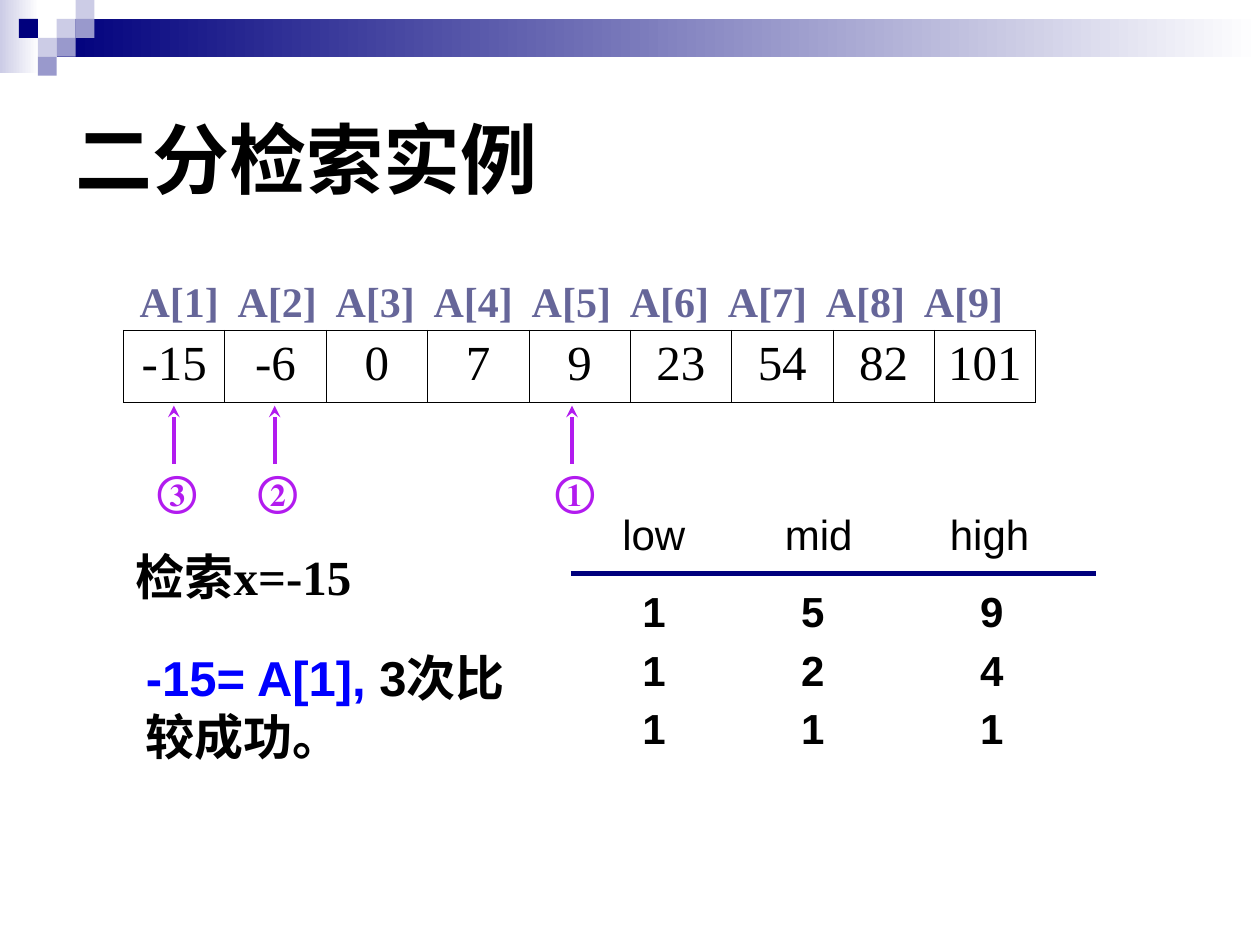
from dataclasses import dataclass
from lxml.etree import SubElement as Sub
from pptx import Presentation as Deck
from pptx.dml.color import RGBColor as Rgb
from pptx.enum.shapes import MSO_CONNECTOR as Conn, MSO_SHAPE as Kind
from pptx.enum.text import MSO_ANCHOR as Anchor, PP_ALIGN as Align
from pptx.oxml import parse_xml
from pptx.oxml.ns import nsdecls, qn
from pptx.util import Inches, Pt


@dataclass(frozen=True)
class Theme:
    sans: str = "Arial"
    serif: str = "Times New Roman"
    ink: str = "000000"
    navy: str = "00007D"
    mid: str = "9999CC"
    pale: str = "CCCCE6"
    white: str = "FFFFFF"
    slate: str = "666699"
    mark: str = "B21BEF"
    blue: str = "0000FF"
    head: int = 44
    big: int = 28
    small: int = 24


T = Theme()
COLS, ROWS = 100, 75

TITLE = "二分检索实例"
DATA = ["-15", "-6", "0", "7", "9", "23", "54", "82", "101"]
STEPS = [("①", 45.4), ("②", 21.8), ("③", 13.8)]
QUERY = [("检索x=-15", T.ink)]
RESULT = [("-15= A[1],", T.blue), (" 3次比较成功。", T.ink)]
TRACE = [
    ("low", 48.4, 50, "111"),
    ("mid", 61.3, 62.6, "521"),
    ("high", 74.4, 76.8, "941"),
]
FADES = [((0, 0, 3.1, 5.8), T.pale), ((4.5, 1.5, 95.5, 3), T.navy)]
TILES = [
    (3, 1, T.pale), (4, 0, T.pale), (4, 1, T.mid), (2, 2, T.pale),
    (1, 1, T.navy), (3, 2, T.mid), (2, 3, T.mid),
]
TILE = 1.5
TAB = 7.78

deck = Deck()
deck.slide_width, deck.slide_height = Inches(10), Inches(7.5)
slide = deck.slides.add_slide(deck.slide_layouts[6])
shapes = slide.shapes


def grid(x, y):
    return round(deck.slide_width * x / COLS), round(deck.slide_height * y / ROWS)


def area(x, y, w, h):
    return (*grid(x, y), *grid(w, h))


def block(spot, tint, fade=False):
    box = shapes.add_shape(Kind.RECTANGLE, *area(*spot))
    box.shadow.inherit = False
    box.line.fill.background()
    if fade:
        box.fill.gradient()
        box.fill.gradient_angle = 0
        for stop, hue in zip(box.fill.gradient_stops, (tint, T.white)):
            stop.color.rgb = Rgb.from_string(hue)
    else:
        box.fill.solid()
        box.fill.fore_color.rgb = Rgb.from_string(tint)


def write(para, runs, size, face, bold):
    for words, tint in runs:
        run = para.add_run()
        run.text = words
        font = run.font
        font.size, font.name, font.bold = Pt(size), face, bold
        font.color.rgb = Rgb.from_string(tint)


def text(spot, runs, size=T.small, face=T.sans, bold=True):
    box = shapes.add_textbox(*area(*spot))
    box.text_frame.word_wrap = True
    para = box.text_frame.paragraphs[0]
    write(para, runs, size, face, bold)
    return box.text_frame, para


def line(start, end, tint, width, tip=None):
    rule = shapes.add_connector(Conn.STRAIGHT, *grid(*start), *grid(*end))
    rule.line.color.rgb = Rgb.from_string(tint)
    rule.line.width = Pt(width)
    props = rule._element.spPr
    if tip:
        Sub(props.find(qn("a:ln")), qn("a:tailEnd"), type=tip)
    Sub(props, qn("a:effectLst"))


def edge(cell):
    props = cell._tc.get_or_add_tcPr()
    for i, side in enumerate("LRTB"):
        props.insert(i, parse_xml(
            f'<a:ln{side} {nsdecls("a")} w="{Pt(0.45)}"><a:solidFill>'
            f'<a:srgbClr val="{T.ink}"/></a:solidFill></a:ln{side}>'))


def array():
    spot = area(9.8, 26.2, 72.4, 5.7)
    table = shapes.add_table(1, len(DATA), *spot).table
    table.first_row = table.horz_banding = False
    for i, value in enumerate(DATA):
        table.columns[i].width = spot[2] // len(DATA)
        cell = table.cell(0, i)
        cell.fill.background()
        edge(cell)
        para = cell.text_frame.paragraphs[0]
        para.alignment = Align.CENTER
        write(para, [(value, T.ink)], T.big, T.serif, False)


def index():
    count = len(DATA)
    names = "\t".join(f"A[{i + 1}]" for i in range(count))
    _, para = text((10.1, 21.8, 72.3, 4.6), [(names, T.slate)], face=T.serif)
    para.line_spacing = 0.9
    tabs = Sub(para._p.get_or_add_pPr(), qn("a:tabLst"))
    for i in range(1, count):
        Sub(tabs, qn("a:tab"), pos=str(grid(TAB * i, 0)[0]), algn="l")


def main():
    for spot, tint in FADES:
        block(spot, tint, True)
    for col, row, tint in TILES:
        block((col * TILE, row * TILE, TILE, TILE), tint)

    frame, _ = text((5, 5, 90, 15), [(TITLE, T.ink)], T.head)
    frame.vertical_anchor = Anchor.MIDDLE
    array()
    index()
    for sign, x in STEPS:
        line((x, 36.8), (x, 32.2), T.mark, 2.25, "stealth")
        text((x - 2.3, 36.4, 4.4, 5), [(sign, T.mark)], face=T.serif)

    _, para = text((9.8, 43.8, 24.4, 4.8), QUERY, T.big, T.serif)
    para.line_spacing = 0.8
    text((10.6, 50.9, 31.5, 10.4), RESULT, T.big)

    line((45.3, 45.5), (87, 45.5), T.navy, 3)
    for name, left, x, values in TRACE:
        text((left, 39.9, 9.2, 5), [(name, T.ink)], bold=False)
        for i, value in enumerate(values):
            text((x, 46 + 4.65 * i, 6.3, 5), [(value, T.ink)])
    deck.save("out.pptx")


if __name__ == "__main__":
    main()
